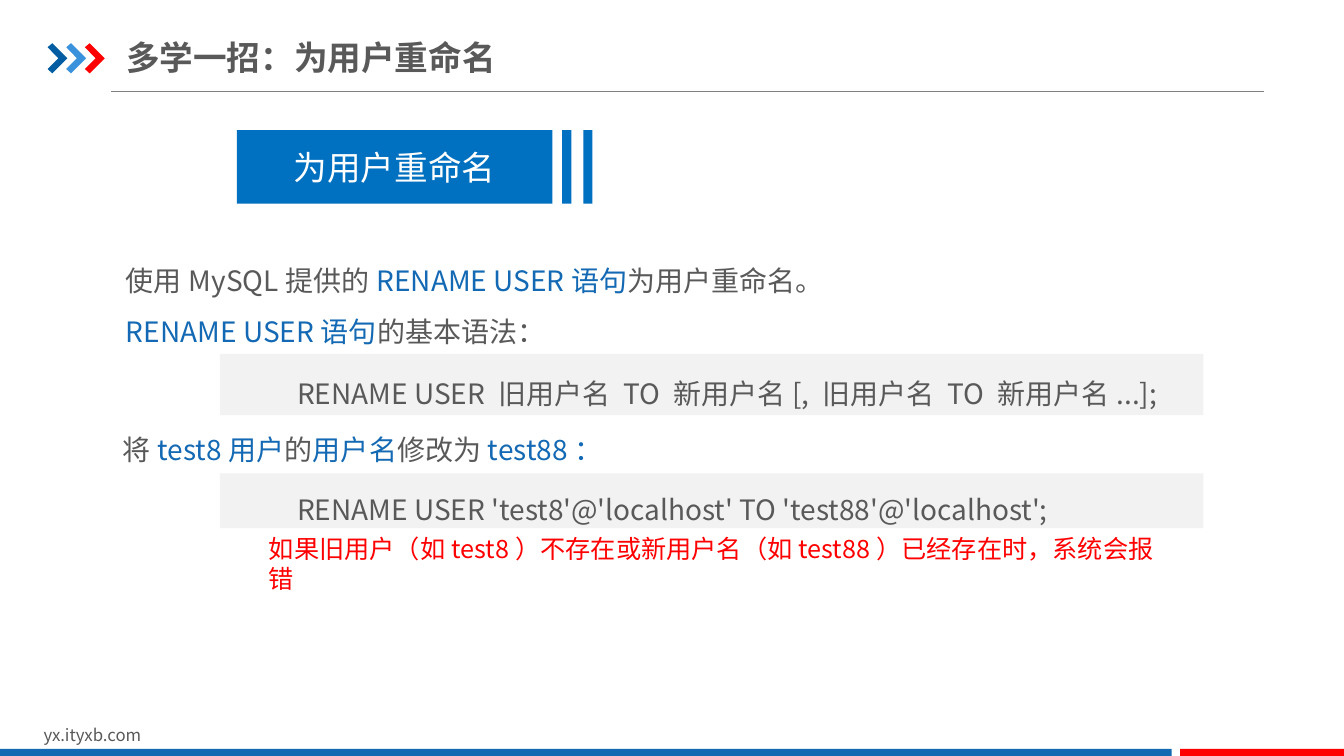
import pptx
import pptx.dml.color
import pptx.enum.shapes
import pptx.enum.text
import pptx.oxml.ns
import pptx.util
from lxml import etree
from pptx.util import Cm

COLORS = {
    "text": "595959", "keyword": "1369B3", "footer": "1369B2", "banner": "0070C0",
    "code": "F2F2F2", "red": "FF0000", "navy": "005DA2", "sky": "3992DB",
    "rule": "808080", "white": "FFFFFF",
}
CJK_FONT = "Noto Sans CJK SC"
ALIGN = pptx.enum.text.PP_ALIGN
ANCHOR = pptx.enum.text.MSO_ANCHOR


def rgb(color):
    """Return the named colour of the palette."""
    return pptx.dml.color.RGBColor.from_string(COLORS[color])


def paint(shape, color):
    """Give a shape a flat fill without outline or shadow."""
    shape.shadow.inherit = False
    shape.fill.solid()
    shape.fill.fore_color.rgb = rgb(color)
    shape.line.fill.background()


def add_bar(slide, left, top, width, height, color):
    """Add a flat rectangle, measured in centimetres."""
    bar = slide.shapes.add_shape(
        pptx.enum.shapes.MSO_SHAPE.RECTANGLE, Cm(left), Cm(top), Cm(width), Cm(height))
    paint(bar, color)
    return bar


def add_chevron(slide, left, top, color):
    """Add one arrow-like chevron of the heading mark."""
    outline = [(0, 0.1), (0.12, 0), (0.5, 0.38), (0.12, 0.76), (0, 0.65), (0.27, 0.38)]
    points = [(Cm(left + x), Cm(top + y)) for x, y in outline]
    builder = slide.shapes.build_freeform(*points[0])
    builder.add_line_segments(points[1:], close=True)
    paint(builder.convert_to_shape(), color)


def write(shape, paragraphs, size, bold=False, latin=CJK_FONT, align=ALIGN.LEFT,
          spacing=1.0, indent=0, anchor=ANCHOR.TOP):
    """Fill a shape with paragraphs given as lists of (text, colour) runs."""
    frame = shape.text_frame
    frame.word_wrap = True
    frame.auto_size = pptx.enum.text.MSO_AUTO_SIZE.NONE
    frame.vertical_anchor = anchor
    for index, runs in enumerate(paragraphs):
        paragraph = frame.add_paragraph() if index else frame.paragraphs[0]
        paragraph.alignment = align
        paragraph.line_spacing = spacing
        paragraph.space_before = pptx.util.Pt(0)
        properties = paragraph._p.get_or_add_pPr()
        properties.set("marL", str(Cm(indent)))
        properties.set("indent", "0")
        etree.SubElement(properties, pptx.oxml.ns.qn("a:buNone"))
        for text, color in runs:
            run = paragraph.add_run()
            run.text = text
            run.font.size = pptx.util.Pt(size)
            run.font.bold = bold
            run.font.color.rgb = rgb(color)
            run.font.name = latin
            east_asian = etree.Element(pptx.oxml.ns.qn("a:ea"), typeface=CJK_FONT)
            run.font._element.find(pptx.oxml.ns.qn("a:latin")).addnext(east_asian)


def add_text(slide, left, top, width, height, runs, size, **style):
    """Add a one-paragraph text box, measured in centimetres."""
    box = slide.shapes.add_textbox(Cm(left), Cm(top), Cm(width), Cm(height))
    write(box, [runs], size, **style)


def add_code(slide, top, height, statement):
    """Add a grey strip holding one SQL statement."""
    strip = add_bar(slide, 5.54, top, 24.79, height, "code")
    write(strip, [[(statement, "text")]], 20, align=ALIGN.JUSTIFY, spacing=1.5,
          indent=1.7, anchor=ANCHOR.MIDDLE)


def place(placeholder, left, top, width, height):
    """Move a placeholder to a position in centimetres."""
    placeholder.left, placeholder.top = Cm(left), Cm(top)
    placeholder.width, placeholder.height = Cm(width), Cm(height)


def add_frame(slide):
    """Add the heading rule, chevrons and footer."""
    rule = slide.shapes.add_connector(
        pptx.enum.shapes.MSO_CONNECTOR.STRAIGHT, Cm(2.8), Cm(2.31), Cm(31.86), Cm(2.31))
    rule.line.color.rgb = rgb("rule")
    rule.line.width = pptx.util.Pt(0.75)
    etree.SubElement(rule._element.spPr, pptx.oxml.ns.qn("a:effectLst"))
    for index, color in enumerate(("navy", "sky", "red")):
        add_chevron(slide, 1.2 + 0.47 * index, 1.09, color)
    add_text(slide, 0.85, 18.13, 8.08, 0.77, [("yx.ityxb.com", "text")], 12)
    add_bar(slide, 0, 18.87, 29.53, 0.23, "footer")
    add_bar(slide, 29.74, 18.87, 4.13, 0.23, "red")


def add_banner(slide):
    """Add the blue section banner with its two stripes."""
    banner = add_bar(slide, 5.97, 3.28, 7.95, 1.85, "banner")
    write(banner, [[("为用户重命名", "white")]], 24, latin="Arial",
          align=ALIGN.CENTER, anchor=ANCHOR.MIDDLE)
    for left in (14.17, 14.7):
        add_bar(slide, left, 3.28, 0.23, 1.85, "banner")


def main():
    """Build the slide about renaming users."""
    deck = pptx.Presentation()
    deck.slide_width, deck.slide_height = Cm(33.87), Cm(19.05)
    slide = deck.slides.add_slide(deck.slide_layouts[1])
    add_frame(slide)

    heading, intro = slide.placeholders
    place(heading, 3.18, 0.74, 15.44, 1.4)
    heading.text_frame.margin_left = heading.text_frame.margin_right = 0
    write(heading, [[("多学一招：为用户重命名", "text")]], 24, bold=True,
          anchor=ANCHOR.MIDDLE)
    add_banner(slide)

    place(intro, 2.92, 6.1, 28.96, 2.82)
    write(intro, [
        [("使用MySQL提供的", "text"), ("RENAME USER语句", "keyword"),
         ("为用户重命名。", "text")],
        [("RENAME USER语句", "keyword"), ("的基本语法：", "text")],
    ], 20, spacing=1.5)
    add_code(slide, 8.92, 1.54,
             "RENAME USER 旧用户名 TO 新用户名[, 旧用户名 TO 新用户名...];")
    add_text(slide, 2.85, 10.34, 28.96, 1.55, [
        ("将", "text"), ("test8用户", "keyword"), ("的", "text"),
        ("用户名", "keyword"), ("修改为", "text"), ("test88：", "keyword"),
    ], 20, spacing=1.5)
    add_code(slide, 11.93, 1.38,
             "RENAME USER 'test8'@'localhost' TO 'test88'@'localhost';")
    add_text(slide, 6.53, 13.31, 22.99, 1.02, [
        ("如果旧用户（如test8）不存在或新用户名（如test88）已经存在时，系统会报错", "red"),
    ], 18)
    deck.save("out.pptx")


if __name__ == "__main__":
    main()
